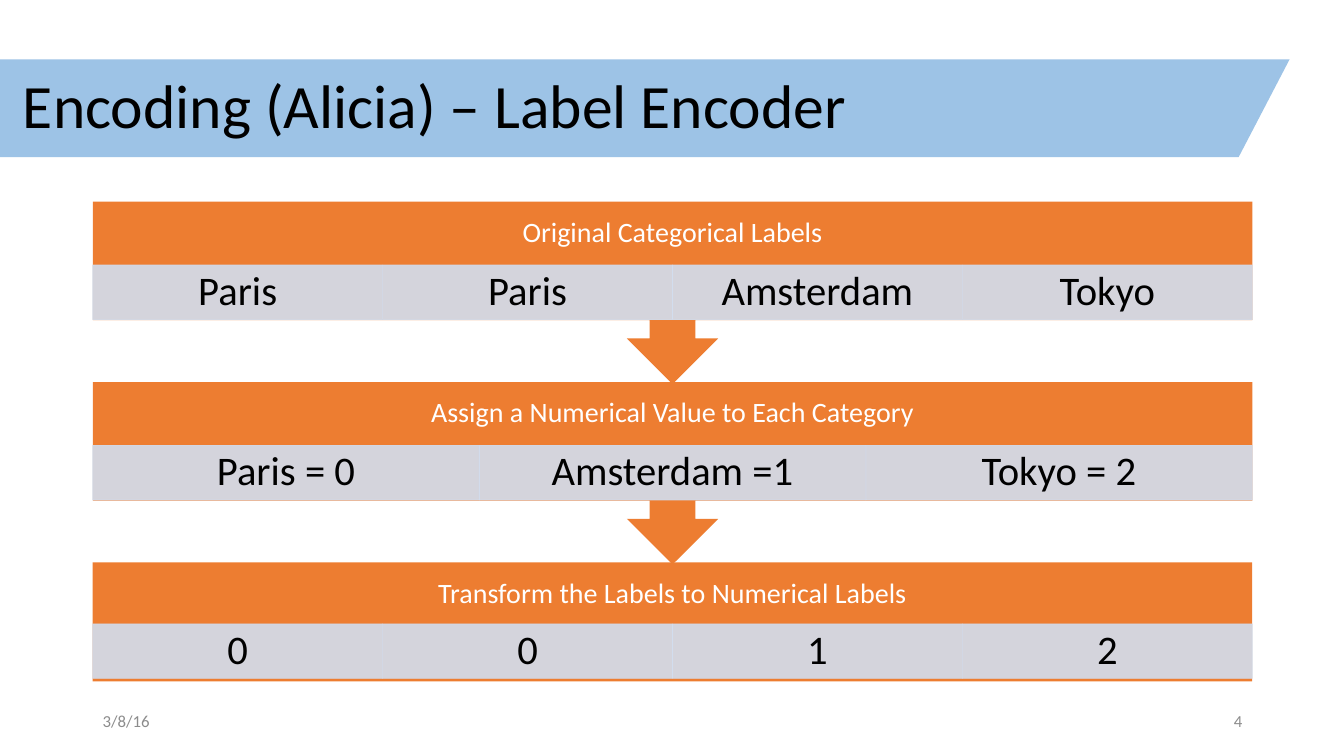
from lxml import etree
from pptx import Presentation
from pptx.dml.color import RGBColor
from pptx.enum.shapes import MSO_SHAPE
from pptx.enum.text import MSO_ANCHOR, PP_ALIGN
from pptx.oxml.ns import qn
from pptx.util import Pt

PX = 9144
RECT = MSO_SHAPE.RECTANGLE
CALLOUT = MSO_SHAPE.UP_ARROW_CALLOUT
PARALLELOGRAM = MSO_SHAPE.PARALLELOGRAM
MIDDLE = MSO_ANCHOR.MIDDLE
LEFT, CENTER, RIGHT = PP_ALIGN.LEFT, PP_ALIGN.CENTER, PP_ALIGN.RIGHT

COLORS = {
    "banner": "9DC3E6",
    "step": "ED7D31",
    "cell": "D2DEEF",
    "text": "000000",
    "heading": "FFFFFF",
    "footer": "8C8C8C",
}
CELL_ALPHA = 90
HEADING_H, CELL_H, STEP_PITCH = 63, 54, 179
STEPS = [
    ("Original Categorical Labels", ["Paris", "Paris", "Amsterdam", "Tokyo"]),
    ("Assign a Numerical Value to Each Category",
     ["Paris = 0", "Amsterdam =1", "Tokyo = 2"]),
    ("Transform the Labels to Numerical Labels", ["0", "0", "1", "2"]),
]


def emu(*lengths):
    """Turn px lengths into EMU."""
    return [round(n * PX) for n in lengths]


def rgb(name):
    """Look up a named colour."""
    return RGBColor.from_string(COLORS[name])


def set_alpha(fill_parent):
    """Make the solid fill under an element slightly transparent."""
    clr = fill_parent.find(qn("a:solidFill")).find(qn("a:srgbClr"))
    etree.SubElement(clr, qn("a:alpha")).set("val", str(CELL_ALPHA * 1000))


def add_shape(s, kind, box, color):
    """Add a flat shape without outline."""
    sp = s.shapes.add_shape(kind, *emu(*box))
    sp.shadow.inherit = False
    sp.fill.solid()
    sp.fill.fore_color.rgb = rgb(color)
    sp.line.fill.background()
    return sp


def write(sp, text, size=12, color="text", align=LEFT, inset=(10, 5), spacing=1.0):
    """Put one formatted paragraph in a shape."""
    tf = sp.text_frame
    tf.word_wrap = True
    tf.vertical_anchor = MIDDLE
    tf.margin_left = tf.margin_right = inset[0] * PX
    tf.margin_top = tf.margin_bottom = inset[1] * PX
    p = tf.paragraphs[0]
    p.alignment = align
    p.line_spacing = spacing
    r = p.add_run()
    r.text = text
    r.font.name = "Calibri"
    r.font.size = Pt(size)
    r.font.color.rgb = rgb(color)


def add_text(s, box, text, **fmt):
    """Add a text box."""
    write(s.shapes.add_textbox(*emu(*box)), text, **fmt)


def add_cell(s, box, text):
    """Add a translucent label cell."""
    sp = add_shape(s, RECT, box, "cell")
    sp.line.color.rgb = rgb("cell")
    sp.line.width = Pt(0.5)
    set_alpha(sp.fill._xPr)
    set_alpha(sp.line._ln)
    write(sp, text, size=29, align=CENTER, inset=(23, 4), spacing=0.9)


def add_banner(s, box, title):
    """Draw the slanted title banner."""
    x, y, w, h = box
    sp = add_shape(s, PARALLELOGRAM, (x - 59, y, w + 59, h), "banner")
    sp.adjustments[0] = 0.521
    add_text(s, (x + 13, y, 1150, h), title, size=44, spacing=0.9)


def add_step(s, box, heading, labels, last):
    """Draw one process step with its heading and row of cells."""
    x, y, w, h = box
    sp = add_shape(s, RECT if last else CALLOUT, box, "step")
    if not last:
        sp.rotation = 180
    add_text(s, (x, y, w, HEADING_H), heading, size=20, color="heading",
             align=CENTER, inset=(16, 16), spacing=0.9)
    top = y + HEADING_H - (2 if last else 0)
    cell_w = w / len(labels)
    for i, label in enumerate(labels):
        add_cell(s, (x + i * cell_w, top, cell_w, CELL_H), label)


def add_process(s, box):
    """Stack the process steps, last one at the back."""
    x, y, w, h = box
    last = len(STEPS) - 1
    for i, (heading, labels) in reversed(list(enumerate(STEPS))):
        step_h = h - i * STEP_PITCH if i == last else STEP_PITCH + 2
        add_step(s, (x, y + i * STEP_PITCH, w, step_h), heading, labels, i == last)


def add_footer(s, box, date, number):
    """Write the date at the left and the slide number at the right."""
    x, y, w, h = box
    add_text(s, (x, y, 300, h), date, color="footer")
    add_text(s, (x + w - 300, y, 300, h), number, color="footer", align=RIGHT)


def main():
    """Build and save the slide."""
    prs = Presentation()
    prs.slide_width, prs.slide_height = emu(1333, 750)
    s = prs.slides.add_slide(prs.slide_layouts[6])
    add_banner(s, (0, 59, 1279, 97), "Encoding (Alicia) – Label Encoder")
    add_process(s, (92, 200, 1150, 476))
    add_footer(s, (92, 695, 1150, 40), "3/8/16", "4")
    prs.save("out.pptx")


if __name__ == "__main__":
    main()
